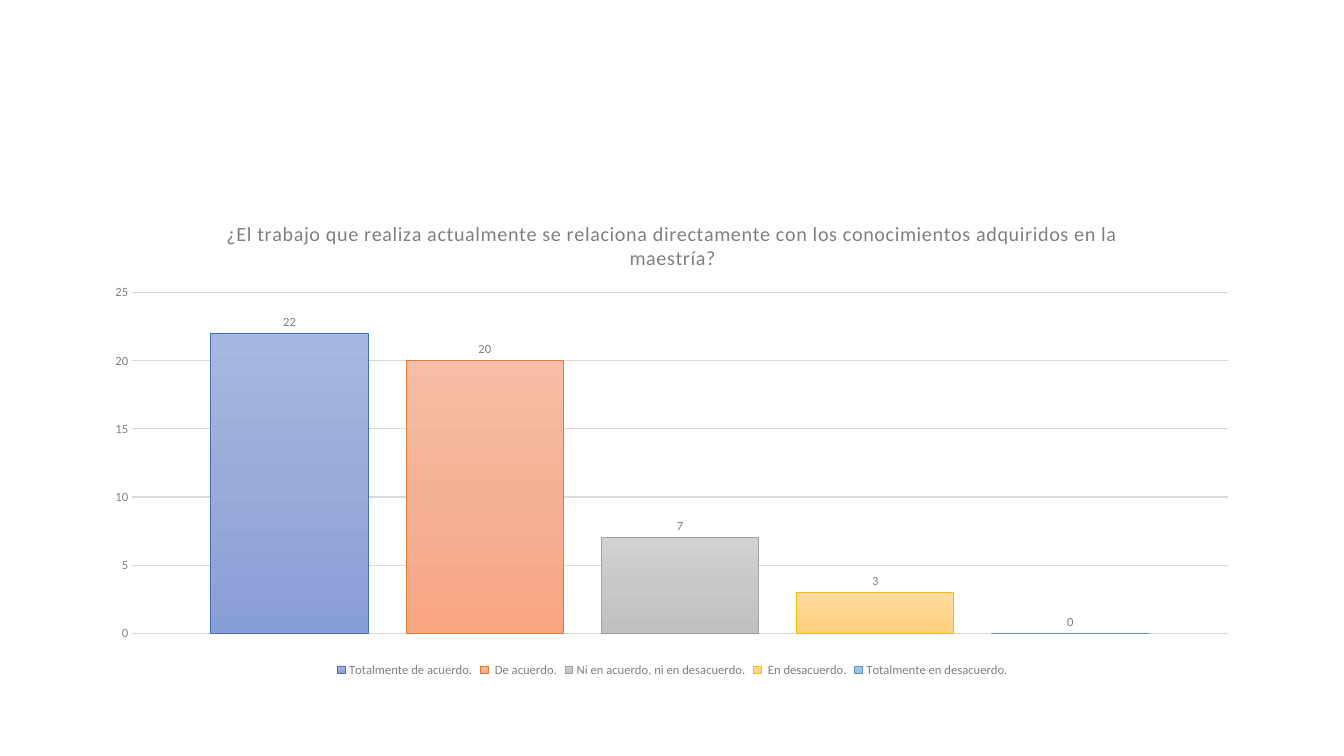
from pptx import Presentation
from pptx.chart.data import CategoryChartData
from pptx.dml.color import RGBColor
from pptx.enum.chart import XL_CHART_TYPE, XL_LABEL_POSITION, XL_LEGEND_POSITION, XL_TICK_MARK
from pptx.oxml import parse_xml
from pptx.oxml.ns import nsdecls
from pptx.util import Inches, Pt

WIDE, HIGH = Inches(13.33), Inches(7.5)
GRAY, GRID = "808080", "D9D9D9"
ASK = ("¿El trabajo que realiza actualmente se relaciona directamente "
       "con los conocimientos adquiridos en la maestría?")
BARS = [
    ("Totalmente de acuerdo.", 22, ("A8B7DF", "9AABD9", "889ED7"), "436FC0"),
    (" De acuerdo.", 20, ("F7BDA5", "F5B196", "F8A582"), "E87A30"),
    ("Ni en acuerdo, ni en desacuerdo.", 7, ("D2D2D2", "C8C8C8", "C0C0C0"), "A1A1A1"),
    (" En desacuerdo.", 3, ("FFDB9E", "FFD590", "FFD07C"), "F9BC00"),
    ("Totalmente en desacuerdo.", 0, ("B1CBE9", "A3C1E5", "93B9E4"), "5998D0"),
]


def color(code):
    return RGBColor.from_string(code)


def style(font, size=9, tone=GRAY, bold=False):
    font.name = "Calibri"
    font.size = Pt(size)
    font.bold = bold
    font.color.rgb = color(tone)


def write(frame, text, space=0, **form):
    frame.text = text
    run = frame.paragraphs[0].runs[0]
    style(run.font, **form)
    run.font._element.set("spc", str(space))


def stroke(line, tone):
    line.color.rgb = color(tone)
    line.width = Pt(0.75)


def shade(bar, tones):
    stops = "".join(
        f'<a:gs pos="{i * 50000}"><a:srgbClr val="{tone}"/></a:gs>'
        for i, tone in enumerate(tones))
    bar._element.get_or_add_spPr().insert(0, parse_xml(
        f'<a:gradFill {nsdecls("a")} rotWithShape="1"><a:gsLst>{stops}</a:gsLst>'
        '<a:lin ang="5400000" scaled="0"/></a:gradFill>'))


def place(plot, left, top, width, height):
    area = plot._element.getparent()
    for old in area.findall("{*}layout"):
        area.remove(old)
    sides = "".join(f'<c:{key} val="{val}"/>' for key, val in
                    zip("xywh", (left, top, width, height)))
    area.insert(0, parse_xml(
        f'<c:layout {nsdecls("c")}><c:manualLayout><c:layoutTarget val="inner"/>'
        f'<c:xMode val="edge"/><c:yMode val="edge"/>{sides}</c:manualLayout></c:layout>'))


def survey(slide, left, top, width, height):
    data = CategoryChartData()
    data.categories = ["1"]
    for name, count, _, _ in BARS:
        data.add_series(name, [count])
    chart = slide.shapes.add_chart(
        XL_CHART_TYPE.COLUMN_CLUSTERED, left, top, width, height, data).chart
    style(chart.font, size=10, tone="000000")
    chart.has_title = True
    write(chart.chart_title.text_frame, ASK, space=50, size=14.4)
    chart.chart_title.include_in_layout = False

    chart.has_legend = True
    chart.legend.position = XL_LEGEND_POSITION.BOTTOM
    chart.legend.include_in_layout = False
    style(chart.legend.font)

    chart.category_axis.visible = False
    axis = chart.value_axis
    axis.minimum_scale, axis.maximum_scale, axis.major_unit = 0, 25, 5
    axis.major_tick_mark = axis.minor_tick_mark = XL_TICK_MARK.NONE
    axis.format.line.fill.background()
    stroke(axis.major_gridlines.format.line, GRID)
    style(axis.tick_labels.font)

    plot = chart.plots[0]
    plot.gap_width, plot.overlap = 100, -24
    plot.vary_by_categories = False
    place(plot, 0.034, 0.19, 0.945, 0.71)
    for bar, (_, _, tones, edge) in zip(plot.series, BARS):
        stroke(bar.format.line, edge)
        shade(bar, tones)
        tags = bar.data_labels
        tags.show_value = True
        tags.position = XL_LABEL_POSITION.OUTSIDE_END
        style(tags.font)


def main():
    deck = Presentation()
    deck.slide_width, deck.slide_height = WIDE, HIGH
    slide = deck.slides.add_slide(deck.slide_layouts[6])
    survey(slide, Inches(0.92), Inches(2), Inches(11.5), Inches(4.76))
    deck.save("out.pptx")


if __name__ == "__main__":
    main()
